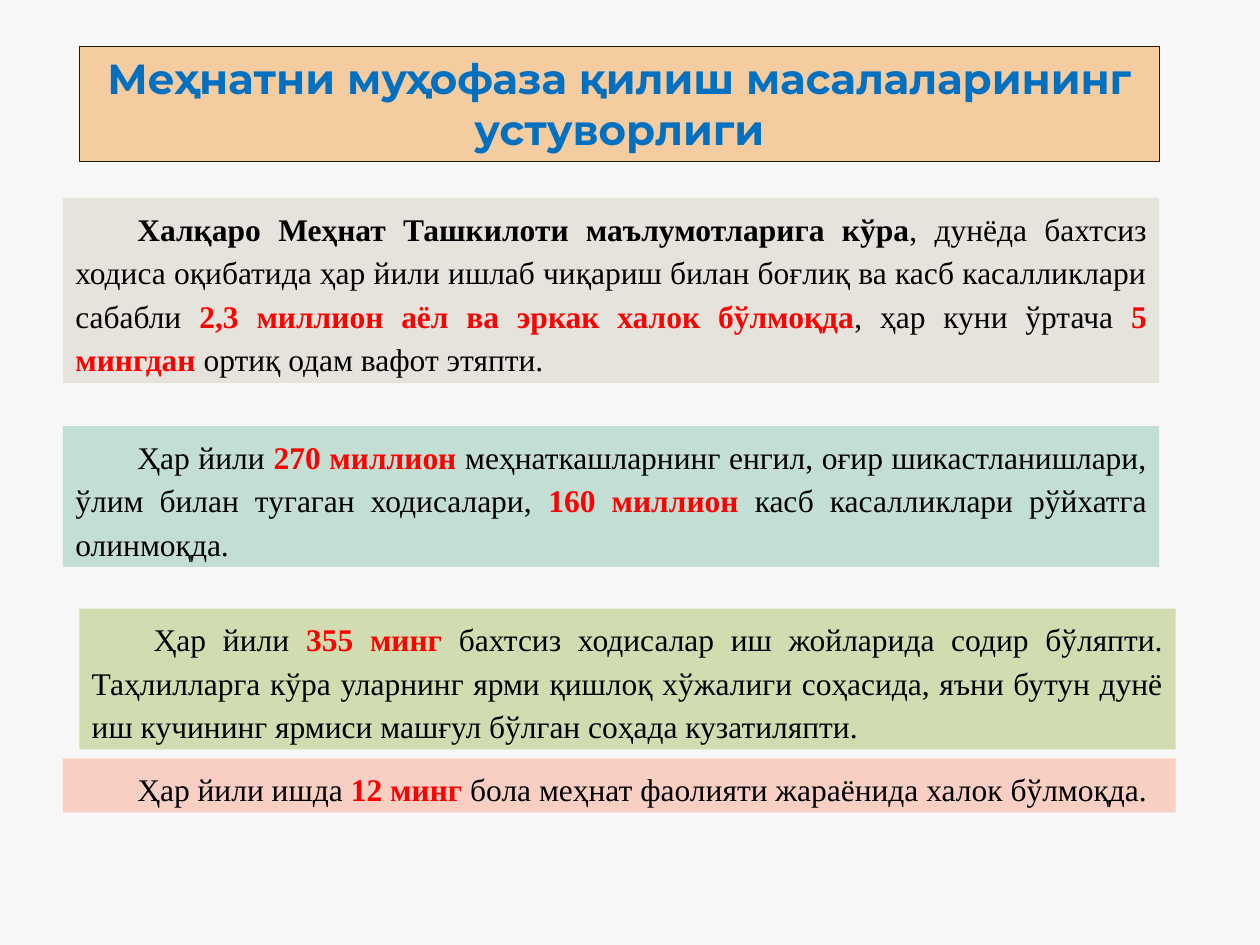
import pptx
import pptx.dml.color
import pptx.enum.shapes
import pptx.enum.text
import pptx.util

Cm = pptx.util.Cm
Pt = pptx.util.Pt
ALIGN = pptx.enum.text.PP_ALIGN
ANCHOR = pptx.enum.text.MSO_ANCHOR

BLACK, RED = "000000", "FF0000"
PLAIN, STRONG, KEY = (BLACK, False), (BLACK, True), (RED, True)

FACTS = [
    ((1.27, 3.99, 22.1, 3.73), "E5E3DB", [
        ("Халқаро Меҳнат Ташкилоти маълумотларига кўра", STRONG),
        (", дунёда бахтсиз ходиса оқибатида ҳар йили ишлаб чиқариш билан "
         "боғлиқ ва касб касалликлари сабабли ", PLAIN),
        ("2,3 миллион аёл ва эркак халок бўлмоқда", KEY),
        (", ҳар куни ўртача ", PLAIN),
        ("5 мингдан ", KEY),
        ("ортиқ одам вафот этяпти.", PLAIN)]),
    ((1.27, 8.59, 22.1, 2.84), "C3DED3", [
        ("Ҳар йили ", PLAIN),
        ("270 миллион ", KEY),
        ("меҳнаткашларнинг енгил, оғир шикастланишлари, ўлим билан тугаган "
         "ходисалари, ", PLAIN),
        ("160 миллион ", KEY),
        ("касб касалликлари рўйхатга олинмоқда.", PLAIN)]),
    ((1.6, 12.27, 22.1, 2.84), "D1DDB0", [
        ("Ҳар йили ", PLAIN),
        ("355 минг ", KEY),
        ("бахтсиз ходисалар иш жойларида содир бўляпти. Таҳлилларга кўра "
         "уларнинг ярми қишлоқ хўжалиги соҳасида, яъни бутун дунё иш кучининг "
         "ярмиси машғул бўлган соҳада кузатиляпти.", PLAIN)]),
    ((1.27, 15.29, 22.43, 1.09), "F9CFC3", [
        ("Ҳар йили ишда ", PLAIN),
        ("12 минг ", KEY),
        ("бола меҳнат фаолияти жараёнида халок бўлмоқда.", PLAIN)]),
]


def rgb(value):
    """Return the colour for a hex string."""
    return pptx.dml.color.RGBColor.from_string(value)


def fill(obj, value):
    """Give a shape or background a solid fill."""
    obj.fill.solid()
    obj.fill.fore_color.rgb = rgb(value)


def add_title(s, box, text):
    """Place and format the title placeholder in the box."""
    sp = s.shapes.title
    sp.left, sp.top, sp.width, sp.height = (Cm(v) for v in box)
    fill(sp, "F5CBA0")
    sp.line.color.rgb = rgb("1A1F0D")
    sp.line.width = Pt(0.75)
    tf = sp.text_frame
    tf.text = text
    tf.word_wrap = True
    tf.auto_size = pptx.enum.text.MSO_AUTO_SIZE.NONE
    tf.vertical_anchor = ANCHOR.TOP
    p = tf.paragraphs[0]
    p.alignment = ALIGN.CENTER
    p.font.name = "Montserrat"
    p.font.size = Pt(24)
    p.font.bold = True
    p.font.color.rgb = rgb("0070C0")


def add_fact(s, box, colour, runs):
    """Add one filled panel with a justified, indented paragraph."""
    sp = s.shapes.add_shape(pptx.enum.shapes.MSO_SHAPE.RECTANGLE,
                            *(Cm(v) for v in box))
    sp.shadow.inherit = False
    fill(sp, colour)
    sp.line.fill.background()
    tf = sp.text_frame
    tf.word_wrap = True
    tf.vertical_anchor = ANCHOR.TOP
    p = tf.paragraphs[0]
    p.alignment = ALIGN.JUSTIFY
    p.line_spacing = 1.15
    p.space_after = Pt(6)
    pPr = p._p.get_or_add_pPr()
    pPr.set("marL", "0")
    pPr.set("indent", str(Cm(1.25)))
    p.font.name = "Times New Roman"
    p.font.size = Pt(18)
    for text, (ink, bold) in runs:
        r = p.add_run()
        r.text = text
        r.font.bold = bold
        r.font.color.rgb = rgb(ink)


def main():
    """Build the slide and save it."""
    prs = pptx.Presentation()
    prs.slide_width, prs.slide_height = Cm(25.4), Cm(19.05)
    s = prs.slides.add_slide(prs.slide_layouts.get_by_name("Title Only"))
    fill(s.background, "F7F7F7")
    add_title(s, (1.6, 0.94, 21.77, 2.31),
              "Меҳнатни муҳофаза қилиш масалаларининг устуворлиги")
    for box, colour, runs in FACTS:
        add_fact(s, box, colour, runs)
    prs.save("out.pptx")


if __name__ == "__main__":
    main()
